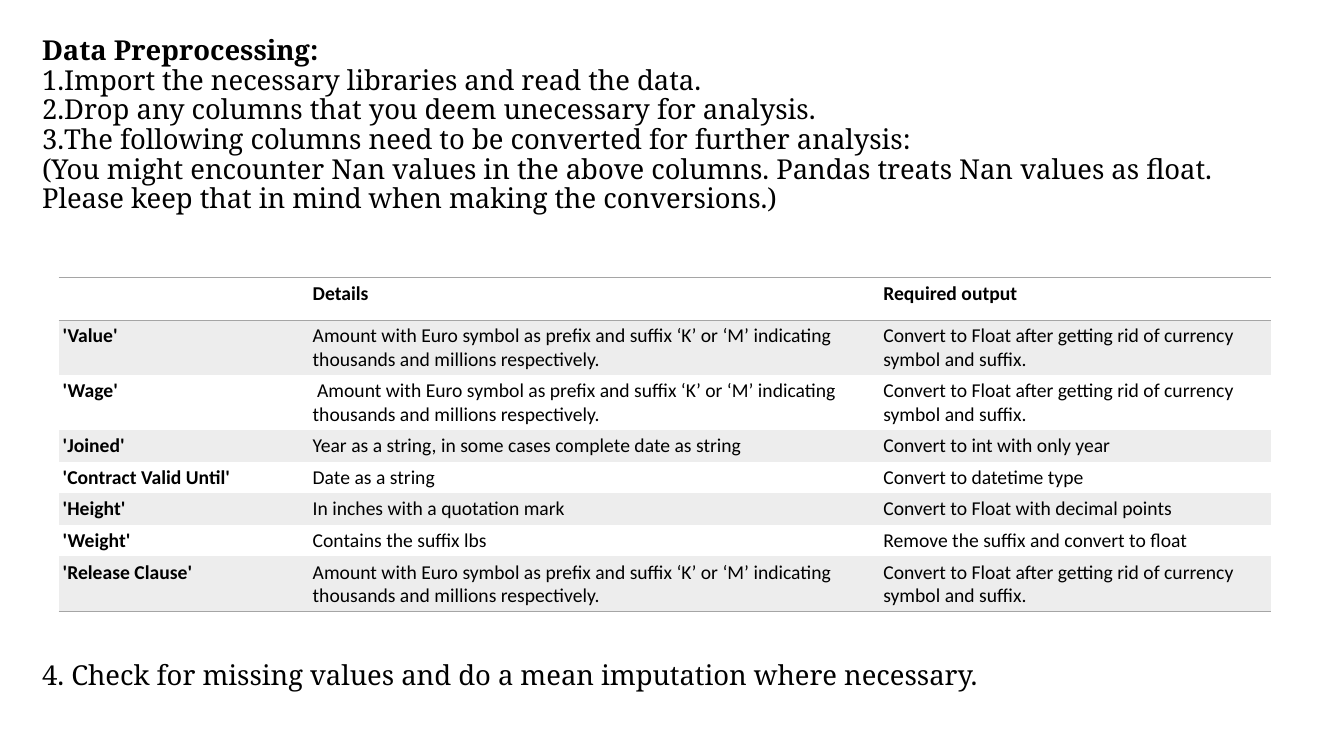
"""Build the data preprocessing slide with its steps and conversion table."""
from dataclasses import dataclass

from lxml.etree import SubElement
from pptx import Presentation
from pptx.dml.color import RGBColor
from pptx.enum.text import MSO_ANCHOR
from pptx.oxml import parse_xml
from pptx.oxml.ns import nsdecls, qn
from pptx.slide import Slide
from pptx.table import Table, _Cell
from pptx.text.text import _Paragraph
from pptx.util import Cm, Pt

BLACK = RGBColor(0x00, 0x00, 0x00)
RULE = RGBColor(0xA5, 0xA5, 0xA5)
BAND = RGBColor(0xED, 0xED, 0xED)
STEP_FONT, STEP_SIZE = "Noto Serif", 19.6
TABLE_FONT, TABLE_SIZE = "Calibri", 14
PLAIN_TABLE_STYLE = "{2D5ABB26-0587-4C30-8999-92F81FD0307C}"
COLUMN_WIDTHS = (6.3, 14.38, 9.86)
HEADER_HEIGHT, ONE_LINE_HEIGHT, TWO_LINE_HEIGHT = 1.07, 0.79, 1.38
CELL_MARGIN = Cm(0.1)


@dataclass(frozen=True)
class Step:
    text: str
    bold: bool = False
    numbered: bool = False


@dataclass(frozen=True)
class Conversion:
    column: str
    details: str
    output: str
    height: float = ONE_LINE_HEIGHT


MONEY_DETAILS = (
    "Amount with Euro symbol as prefix and suffix ‘K’ or ‘M’ indicating "
    "thousands and millions respectively."
)
MONEY_OUTPUT = "Convert to Float after getting rid of currency symbol and suffix."

OPENING_STEPS = (
    Step("Data Preprocessing:", bold=True),
    Step("Import the necessary libraries and read the data.", numbered=True),
    Step("Drop any columns that you deem unecessary for analysis.", numbered=True),
    Step("The following columns need to be converted for further analysis:", numbered=True),
    Step(
        "(You might encounter Nan values in the above columns. Pandas treats Nan "
        "values as float. Please keep that in mind when making the conversions.)"
    ),
)
CLOSING_STEPS = (
    Step("4. Check for missing values and do a mean imputation where necessary."),
)
CONVERSIONS = (
    Conversion("", "Details", "Required output", HEADER_HEIGHT),
    Conversion("'Value'", MONEY_DETAILS, MONEY_OUTPUT, TWO_LINE_HEIGHT),
    Conversion("'Wage'", " " + MONEY_DETAILS, MONEY_OUTPUT, TWO_LINE_HEIGHT),
    Conversion(
        "'Joined'",
        "Year as a string, in some cases complete date as string",
        "Convert to int with only year",
    ),
    Conversion("'Contract Valid Until'", "Date as a string", "Convert to datetime type"),
    Conversion(
        "'Height'", "In inches with a quotation mark", "Convert to Float with decimal points"
    ),
    Conversion("'Weight'", "Contains the suffix lbs", "Remove the suffix and convert to float"),
    Conversion("'Release Clause'", MONEY_DETAILS, MONEY_OUTPUT, TWO_LINE_HEIGHT),
)


def add_run(paragraph: _Paragraph, text: str, font: str, size: float, bold: bool) -> None:
    """Append one black run to a paragraph."""
    run = paragraph.add_run()
    run.text = text
    run.font.name = font
    run.font.size = Pt(size)
    run.font.bold = bold
    run.font.color.rgb = BLACK


def number_paragraph(paragraph: _Paragraph) -> None:
    """Give a paragraph an automatic number without an indent."""
    properties = paragraph._p.get_or_add_pPr()
    properties.set("marL", "0")
    properties.set("indent", "0")
    SubElement(properties, qn("a:buFont"), typeface="+mj-lt")
    SubElement(properties, qn("a:buAutoNum"), type="arabicPeriod")


def add_steps(slide: Slide, steps: tuple[Step, ...], top: float, height: float) -> None:
    """Add a text box that holds one paragraph for each step."""
    box = slide.shapes.add_textbox(Cm(0.81), Cm(top), Cm(31.9), Cm(height))
    frame = box.text_frame
    frame.word_wrap = True
    frame.vertical_anchor = MSO_ANCHOR.TOP
    for index, step in enumerate(steps):
        paragraph = frame.add_paragraph() if index else frame.paragraphs[0]
        paragraph.line_spacing = 0.9
        if step.numbered:
            number_paragraph(paragraph)
        add_run(paragraph, step.text, STEP_FONT, STEP_SIZE, step.bold)


def add_border(cell: _Cell, side: str) -> None:
    """Draw a thin rule on one side of a cell."""
    border = parse_xml(
        f'<a:{side} {nsdecls("a")} w="{Pt(1)}"><a:solidFill>'
        f'<a:srgbClr val="{RULE}"/></a:solidFill></a:{side}>'
    )
    cell._tc.get_or_add_tcPr().insert(0, border)


def fill_cell(cell: _Cell, text: str, bold: bool, banded: bool) -> None:
    """Set the margins, background and text of a cell."""
    cell.margin_left = cell.margin_right = CELL_MARGIN
    cell.margin_top = cell.margin_bottom = CELL_MARGIN
    if banded:
        cell.fill.solid()
        cell.fill.fore_color.rgb = BAND
    else:
        cell.fill.background()
    if text:
        add_run(cell.text_frame.paragraphs[0], text, TABLE_FONT, TABLE_SIZE, bold)


def fill_table(table: Table) -> None:
    """Write the conversions into the table."""
    table.horz_banding = False
    table._tbl.tblPr.find(qn("a:tableStyleId")).text = PLAIN_TABLE_STYLE
    for column, width in zip(table.columns, COLUMN_WIDTHS):
        column.width = Cm(width)
    last = len(CONVERSIONS) - 1
    for index, conversion in enumerate(CONVERSIONS):
        table.rows[index].height = Cm(conversion.height)
        texts = (conversion.column, conversion.details, conversion.output)
        for position, text in enumerate(texts):
            cell = table.cell(index, position)
            fill_cell(cell, text, index == 0 or position == 0, index % 2 == 1)
            if index in (0, last):
                add_border(cell, "lnB")
            if index == 0:
                add_border(cell, "lnT")


def main() -> None:
    """Create the slide and save it."""
    presentation = Presentation()
    presentation.slide_width = Cm(33.87)
    presentation.slide_height = Cm(19.05)
    slide = presentation.slides.add_slide(presentation.slide_layouts[6])
    add_steps(slide, OPENING_STEPS, 0.81, 5.4)
    table_frame = slide.shapes.add_table(
        len(CONVERSIONS),
        len(COLUMN_WIDTHS),
        Cm(1.48),
        Cm(7),
        Cm(sum(COLUMN_WIDTHS)),
        Cm(sum(conversion.height for conversion in CONVERSIONS)),
    )
    fill_table(table_frame.table)
    add_steps(slide, CLOSING_STEPS, 16.55, 1.1)
    presentation.save("out.pptx")


main()
